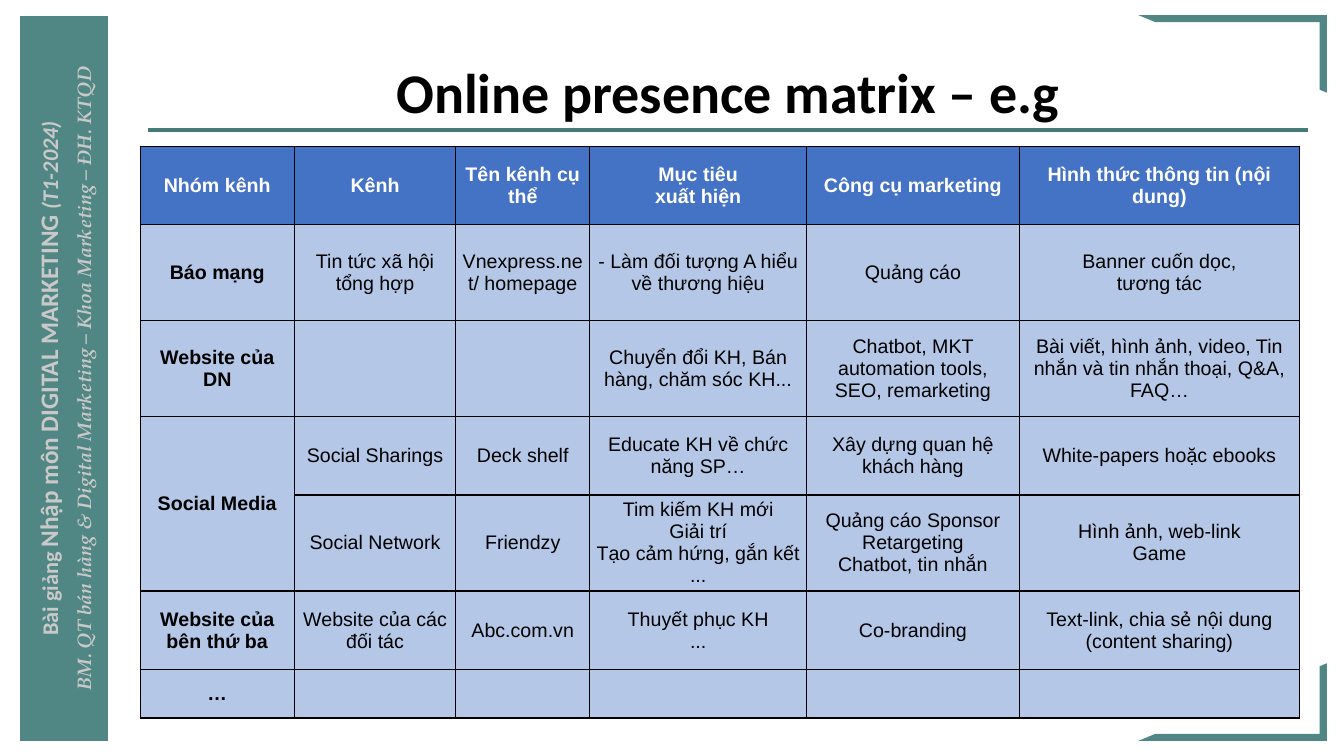
from lxml import etree
from pptx import Presentation
from pptx.dml.color import RGBColor
from pptx.enum.shapes import MSO_CONNECTOR, MSO_SHAPE
from pptx.enum.text import MSO_ANCHOR, MSO_AUTO_SIZE, PP_ALIGN
from pptx.oxml.ns import qn
from pptx.util import Inches, Pt

COLORS = {
    "teal": "508784",
    "rule": "467A78",
    "sidebar_text": "C9C9C9",
    "header": "4472C4",
    "body": "B4C7E7",
    "white": "FFFFFF",
    "black": "000000",
}

COL_WIDTHS = [1.53, 1.6, 1.33, 2.15, 2.11, 2.78]
ROW_HEIGHTS = [0.78, 0.95, 0.95, 0.78, 0.95, 0.78, 0.48]
MATRIX = [
    ["Nhóm kênh", "Kênh", "Tên kênh cụ thể", "Mục tiêu\nxuất hiện",
     "Công cụ marketing", "Hình thức thông tin (nội dung)"],
    ["Báo mạng", "Tin tức xã hội tổng hợp", "Vnexpress.net/ homepage",
     "- Làm đối tượng A hiểu về thương hiệu", "Quảng cáo",
     "Banner cuốn dọc,\ntương tác"],
    ["Website của DN", "", "", "Chuyển đổi KH, Bán hàng, chăm sóc KH...",
     "Chatbot, MKT automation tools, SEO, remarketing",
     "Bài viết, hình ảnh, video, Tin nhắn và tin nhắn thoại, Q&A, FAQ…"],
    ["Social Media", "Social Sharings", "Deck shelf",
     "Educate KH về chức năng SP…", "Xây dựng quan hệ khách hàng",
     "White-papers hoặc ebooks"],
    ["", "Social Network", "Friendzy",
     "Tim kiếm KH mới\nGiải trí\nTạo cảm hứng, gắn kết\n...",
     "Quảng cáo Sponsor\nRetargeting\nChatbot, tin nhắn",
     "Hình ảnh, web-link\nGame"],
    ["Website của bên thứ ba", "Website của các đối tác", "Abc.com.vn",
     "Thuyết phục KH\n...", "Co-branding",
     "Text-link, chia sẻ nội dung (content sharing)"],
    ["…", "", "", "", "", ""],
]


def rgb(name):
    return RGBColor.from_string(COLORS[name])


def add_run(p, text, size, font, color, bold=False, italic=False):
    r = p.add_run()
    r.text = text
    r.font.size = Pt(size)
    r.font.name = font
    r.font.color.rgb = rgb(color)
    r.font.bold = bold
    r.font.italic = italic


def add_teal_shape(slide, kind, left, top, width, height):
    sp = slide.shapes.add_shape(kind, Inches(left), Inches(top),
                                Inches(width), Inches(height))
    sp.shadow.inherit = False
    sp.fill.solid()
    sp.fill.fore_color.rgb = rgb("teal")
    sp.line.fill.background()
    return sp


def add_sidebar(slide):
    sp = add_teal_shape(slide, MSO_SHAPE.RECTANGLE, 0.2, 0.16, 0.87, 7.19)
    tf = sp.text_frame
    tf.word_wrap = True
    tf.vertical_anchor = MSO_ANCHOR.MIDDLE
    tf._txBody.bodyPr.set("vert", "vert270")
    course, faculty = tf.paragraphs[0], tf.add_paragraph()
    faculty.space_before = Pt(6)
    for p in (course, faculty):
        p.alignment = PP_ALIGN.CENTER
    add_run(course, "Bài giảng ", 16, "Calibri", "sidebar_text", True)
    add_run(course, "Nhập môn DIGITAL MARKETING ", 18, "Calibri", "sidebar_text", True)
    add_run(course, "(T1-2024)", 16, "Calibri", "sidebar_text", True, True)
    add_run(faculty, "BM. QT bán hàng & Digital Marketing – Khoa Marketing – ĐH. KTQD",
            14, "TeX Gyre Pagella", "sidebar_text", True, True)


def add_corner(slide, top):
    sp = add_teal_shape(slide, MSO_SHAPE.HALF_FRAME, 11.29, top, 1.87, 0.77)
    sp.adjustments[0] = 0.09
    sp.adjustments[1] = 0.093
    return sp


def add_rule(slide):
    line = slide.shapes.add_connector(MSO_CONNECTOR.STRAIGHT, Inches(1.47), Inches(1.29),
                                      Inches(12.97), Inches(1.29))
    line.line.color.rgb = rgb("rule")
    line.line.width = Pt(2.25)
    etree.SubElement(line._element.spPr, qn("a:effectLst"))


def set_title(slide, text):
    title = slide.shapes.title
    title.left, title.top = Inches(1.47), Inches(0.37)
    title.width, title.height = Inches(11.5), Inches(1.15)
    tf = title.text_frame
    tf.word_wrap = True
    tf.auto_size = MSO_AUTO_SIZE.NONE
    tf.vertical_anchor = MSO_ANCHOR.MIDDLE
    p = tf.paragraphs[0]
    p.alignment = PP_ALIGN.CENTER
    p.line_spacing = 0.9
    add_run(p, text, 40, "Calibri", "black", True)


def add_borders(cell):
    tc_pr = cell._tc.get_or_add_tcPr()
    for side in ("lnL", "lnR", "lnT", "lnB"):
        ln = etree.SubElement(tc_pr, qn(f"a:{side}"), w=str(Pt(1)))
        fill = etree.SubElement(ln, qn("a:solidFill"))
        etree.SubElement(fill, qn("a:srgbClr"), val=COLORS["black"])


def fill_cell(cell, text, is_header, bold):
    add_borders(cell)
    cell.fill.solid()
    cell.fill.fore_color.rgb = rgb("header" if is_header else "body")
    cell.vertical_anchor = MSO_ANCHOR.MIDDLE
    cell.margin_left = cell.margin_right = Inches(0.06)
    cell.margin_top = cell.margin_bottom = Inches(0.04)
    if not text:
        return
    tf = cell.text_frame
    for i, line in enumerate(text.split("\n")):
        p = tf.add_paragraph() if i else tf.paragraphs[0]
        p.alignment = PP_ALIGN.CENTER
        add_run(p, line, 14, "Arial", "white" if is_header else "black", bold)


def add_matrix(slide):
    table = slide.shapes.add_table(
        len(ROW_HEIGHTS), len(COL_WIDTHS), Inches(1.39), Inches(1.45),
        Inches(sum(COL_WIDTHS)), Inches(sum(ROW_HEIGHTS))).table
    for col, width in zip(table.columns, COL_WIDTHS):
        col.width = Inches(width)
    for row, height in zip(table.rows, ROW_HEIGHTS):
        row.height = Inches(height)
    for r, texts in enumerate(MATRIX):
        for c, text in enumerate(texts):
            fill_cell(table.cell(r, c), text, r == 0, r == 0 or c == 0)
    table.cell(3, 0).merge(table.cell(4, 0))


def main():
    prs = Presentation()
    prs.slide_width, prs.slide_height = Inches(13.33), Inches(7.5)
    slide = prs.slides.add_slide(prs.slide_layouts[5])
    add_sidebar(slide)
    add_corner(slide, 6.58).rotation = 180
    top_corner = add_corner(slide, 0.15)
    top_corner._element.spPr.xfrm.set("flipH", "1")
    add_rule(slide)
    set_title(slide, "Online presence matrix – e.g")
    add_matrix(slide)
    prs.save("out.pptx")


if __name__ == "__main__":
    main()
